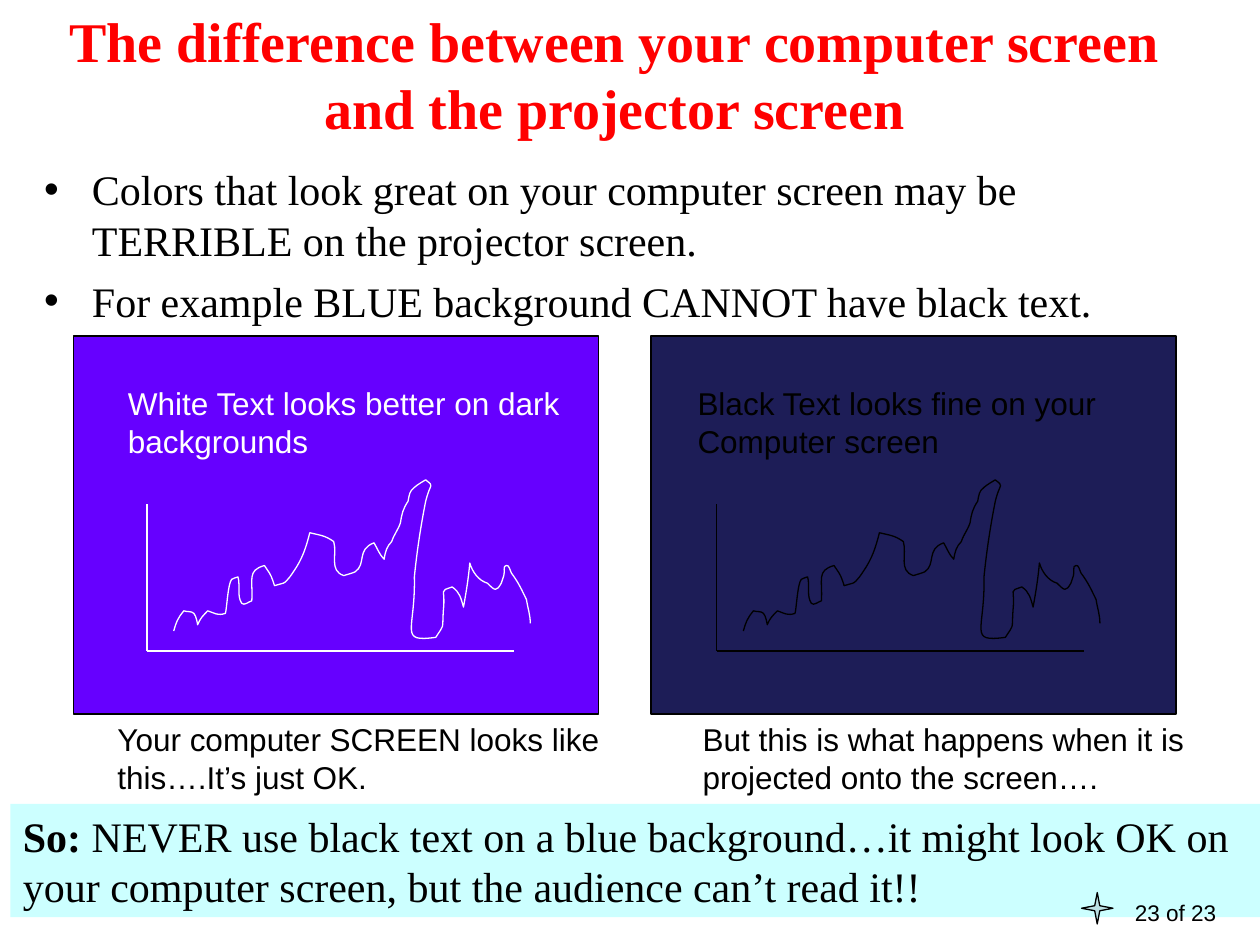
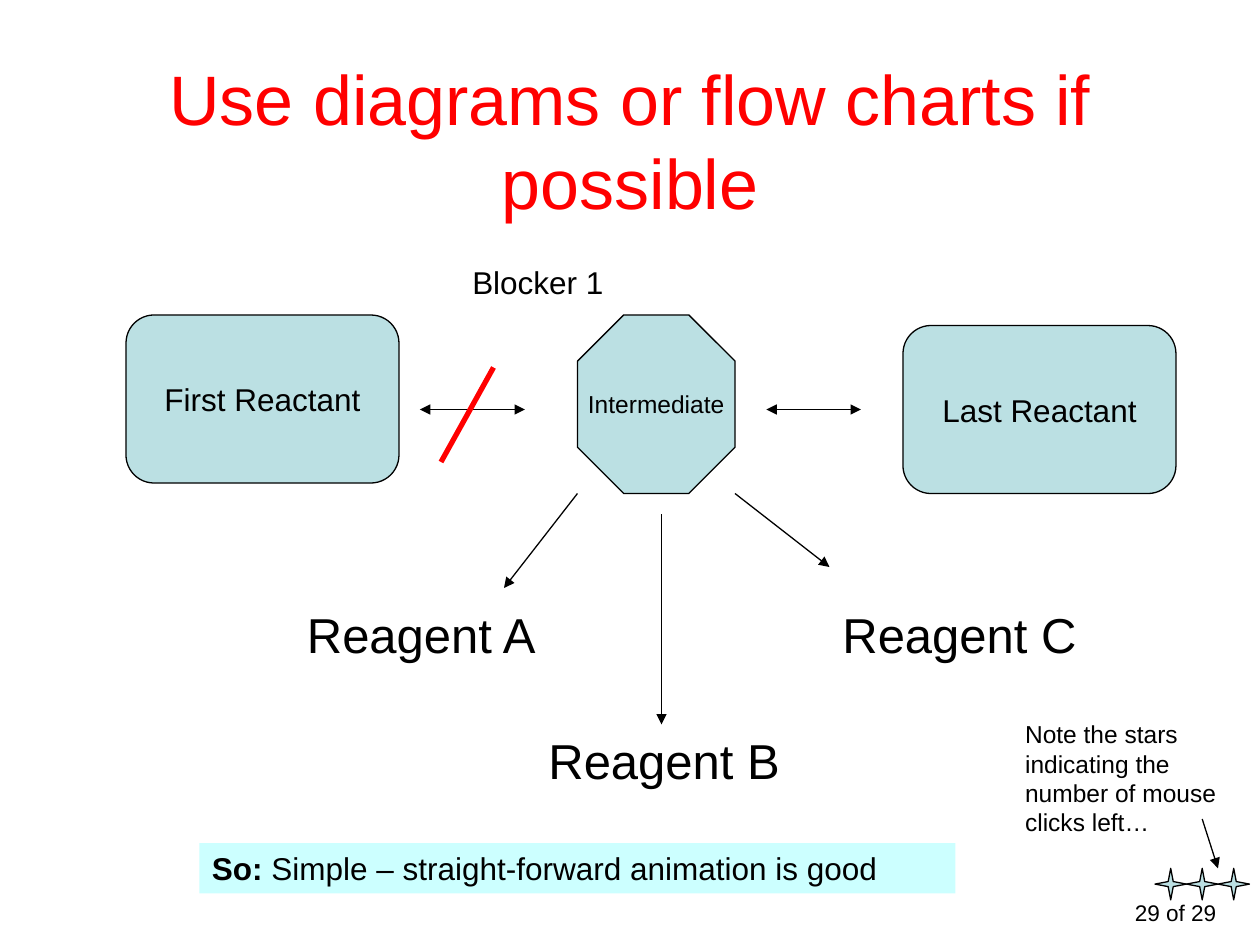
from dataclasses import dataclass
from lxml import etree
from pptx import Presentation
from pptx import util as u
from pptx.dml.color import RGBColor
from pptx.enum import shapes, text
from pptx.oxml import ns

COLORS = {"black": "000000", "white": "FFFFFF", "red": "FF0000", "band": "CCFFFF",
          "pale": "BBE0E3", "violet": "6600FF", "navy": "1D1D57"}
SANS, SERIF = "Arial", "Times New Roman"
COLUMNS = 120
WIDTH, HEIGHT = u.Inches(10), u.Inches(7.5)
CELL = WIDTH / COLUMNS
STAR_OUTLINE = [(0, 25), (21, 21), (25, 0), (29, 21), (50, 25), (29, 29), (25, 50), (21, 29)]
CURVE_START = (0, 120)
CURVE = [
    (2, 113, 3, 110, 8, 104), (11, 105, 14, 104, 16, 106), (18, 108, 19, 115, 19, 115),
    (21, 110, 23, 108, 27, 104), (33, 106, 35, 108, 41, 106), (42, 104, 43, 82, 46, 79),
    (47, 78, 49, 78, 51, 77), (53, 84, 50, 92, 54, 98), (56, 100, 59, 97, 62, 96),
    (63, 79, 58, 72, 72, 68), (73, 70, 75, 72, 76, 74), (78, 77, 80, 84, 80, 84),
    (82, 83, 85, 83, 87, 82), (90, 81, 95, 73, 95, 73), (102, 63, 105, 54, 108, 42),
    (116, 44, 120, 44, 127, 49), (130, 59, 123, 72, 135, 76), (138, 75, 142, 74, 144, 73),
    (153, 67, 145, 55, 159, 50), (162, 55, 163, 59, 167, 63), (168, 57, 169, 53, 173, 49),
    (175, 43, 178, 40, 180, 34), (181, 27, 182, 23, 186, 17), (187, 12, 187, 9, 191, 6),
    (193, 4, 200, 0, 200, 0), (207, 6, 204, 1, 200, 17), (196, 37, 193, 57, 191, 77),
    (192, 120, 178, 129, 208, 125), (215, 114, 213, 120, 214, 104),
    (216, 85, 210, 89, 221, 85), (227, 89, 228, 94, 230, 101), (232, 90, 234, 78, 235, 66),
    (237, 73, 242, 80, 249, 82), (255, 88, 256, 89, 260, 82), (261, 80, 261, 78, 262, 76),
    (263, 73, 261, 68, 264, 68), (266, 67, 267, 72, 268, 74), (274, 82, 276, 87, 280, 95),
    (281, 102, 283, 107, 283, 114),
]


@dataclass(frozen=True)
class Area:
    column: float
    row: float
    columns: float
    rows: float

    def lengths(self) -> tuple:
        return tuple(round(n * CELL) for n in (self.column, self.row, self.columns, self.rows))


@dataclass(frozen=True)
class Style:
    size: float
    font: str = SANS
    color: str = "black"
    bold: bool = False
    align: text.PP_ALIGN = text.PP_ALIGN.LEFT


@dataclass(frozen=True)
class Arrow:
    start: tuple
    end: tuple
    color: str = "black"
    weight: float = 0.75
    heads: tuple = ()


@dataclass(frozen=True)
class Node:
    kind: shapes.MSO_SHAPE
    area: Area
    label: str
    size: float
    adjustment: float


@dataclass(frozen=True)
class Panel:
    area: Area
    fill: str
    ink: str
    heading: tuple
    heading_area: Area
    axis_column: float
    caption: tuple
    caption_area: Area


BOTH_ENDS = ("headEnd", "tailEnd")
FAR_END = ("tailEnd",)
PANELS = [
    Panel(Area(62, 32, 50, 36), "navy", "black",
          ("Black Text looks fine on your", "Computer screen"), Area(65.25, 36, 40.7, 8.4), 68.25,
          ("But this is what happens when it is", "projected onto the screen…."),
          Area(65.75, 68, 48.2, 8.4)),
    Panel(Area(7, 32, 50, 36), "violet", "white",
          ("White Text looks better on dark", "backgrounds"), Area(11, 36, 43.9, 8.4), 14,
          ("Your computer SCREEN looks like", "this….It’s just OK."), Area(10, 68, 48.6, 8.4)),
]
NODES = [
    Node(shapes.MSO_SHAPE.ROUNDED_RECTANGLE, Area(12, 30, 26, 16), "First Reactant", 18, 0.167),
    Node(shapes.MSO_SHAPE.OCTAGON, Area(55, 30, 15, 17), "Intermediate", 14, 0.293),
    Node(shapes.MSO_SHAPE.ROUNDED_RECTANGLE, Area(86, 31, 26, 16), "Last Reactant", 18, 0.167),
]
ARROWS = [
    Arrow((40, 39), (50, 39), heads=BOTH_ENDS),
    Arrow((73, 39), (82, 39), heads=BOTH_ENDS),
    Arrow((55, 47), (48, 56), heads=FAR_END),
    Arrow((63, 49), (63, 69), heads=FAR_END),
    Arrow((70, 47), (79, 54), heads=FAR_END),
    Arrow((47, 35), (42, 44), "red", 3),
    Arrow((114.5, 78), (116, 82.7), heads=FAR_END),
]
REAGENTS = {"Reagent A": Area(28.05, 57, 24.4, 6.8), "Reagent B": Area(51.05, 69, 24.4, 6.8),
            "Reagent C": Area(79.05, 57, 24.6, 6.8)}


def rgb(name: str) -> RGBColor:
    return RGBColor.from_string(COLORS[name])


def place(box, area: Area) -> None:
    box.left, box.top, box.width, box.height = area.lengths()


def write(frame, lines, style: Style, wrap: bool = True,
          anchor=text.MSO_ANCHOR.TOP, lead: str = "") -> None:
    frame.word_wrap = wrap
    frame.auto_size = text.MSO_AUTO_SIZE.NONE
    frame.vertical_anchor = anchor
    for index, line in enumerate(lines):
        para = frame.add_paragraph() if index else frame.paragraphs[0]
        para.alignment = style.align
        for words, bold in ((lead, True), (line, style.bold)):
            if words:
                span = para.add_run()
                span.text = words
                span.font.name, span.font.size = style.font, u.Pt(style.size)
                span.font.bold = bold
                span.font.color.rgb = rgb(style.color)


def add_label(page, area: Area, lines, style: Style, wrap: bool = False) -> None:
    write(page.shapes.add_textbox(*area.lengths()).text_frame, lines, style, wrap)


def paint(box, fill: str = "", outline: str = "black") -> None:
    box.shadow.inherit = False
    if fill:
        box.fill.solid()
        box.fill.fore_color.rgb = rgb(fill)
    else:
        box.fill.background()
    if outline:
        box.line.color.rgb = rgb(outline)
        box.line.width = u.Pt(0.75)
    else:
        box.line.fill.background()


def add_block(page, kind, area: Area, fill: str, outline: str = "black"):
    box = page.shapes.add_shape(kind, *area.lengths())
    paint(box, fill, outline)
    return box


def add_line(page, arrow: Arrow) -> None:
    ends = [round(n * CELL) for n in arrow.start + arrow.end]
    line = page.shapes.add_connector(shapes.MSO_CONNECTOR.STRAIGHT, *ends)
    line.line.color.rgb = rgb(arrow.color)
    line.line.width = u.Pt(arrow.weight)
    outline = line.line._get_or_add_ln()
    for head in arrow.heads:
        etree.SubElement(outline, ns.qn("a:" + head), type="triangle")
    etree.SubElement(line._element.spPr, ns.qn("a:effectLst"))


def add_star(page, column: float, row: float) -> None:
    builder = page.shapes.build_freeform(*STAR_OUTLINE[0], scale=u.Inches(0.005))
    builder.add_line_segments(STAR_OUTLINE[1:], close=True)
    paint(builder.convert_to_shape(round(column * CELL), round(row * CELL)), "pale")


def add_curve(page, column: float, row: float, ink: str) -> None:
    builder = page.shapes.build_freeform(*CURVE_START, scale=u.Inches(0.01))
    for numbers in CURVE:
        builder.add_line_segments(zip(numbers[::2], numbers[1::2]), close=False)
    curve = builder.convert_to_shape(round(column * CELL), round(row * CELL))
    outline = next(curve._element.iter(ns.qn("a:path")))
    segments = outline.findall(ns.qn("a:lnTo"))
    for first in range(0, len(segments), 3):
        bend = etree.SubElement(outline, ns.qn("a:cubicBezTo"))
        for segment in segments[first:first + 3]:
            bend.append(segment[0])
            outline.remove(segment)
    paint(curve, outline=ink)


def add_panel(page, panel: Panel) -> None:
    add_block(page, shapes.MSO_SHAPE.RECTANGLE, panel.area, panel.fill)
    add_label(page, panel.heading_area, panel.heading, Style(18, color=panel.ink))
    corner = (panel.axis_column, 62)
    add_line(page, Arrow((panel.axis_column, 48), corner, panel.ink))
    add_line(page, Arrow(corner, (panel.axis_column + 35, 62), panel.ink))
    add_curve(page, panel.axis_column + 2.55, 45.7, panel.ink)
    add_label(page, panel.caption_area, panel.caption, Style(18))


def add_title(page, area: Area, words: str, style: Style) -> None:
    title = page.shapes.title
    place(title, area)
    write(title.text_frame, [words], style, anchor=text.MSO_ANCHOR.MIDDLE)


def add_bullets(page, area: Area, lines, style: Style) -> None:
    body = page.placeholders[1]
    place(body, area)
    write(body.text_frame, lines, style)
    for index, para in enumerate(body.text_frame.paragraphs):
        para.space_before = u.Pt(6 if index else 0)
        properties = para._p.get_or_add_pPr()
        properties.set("marL", str(u.Inches(0.38)))
        properties.set("indent", str(-u.Inches(0.38)))


def add_conclusion(page, area: Area, words: str, style: Style) -> None:
    band = add_block(page, shapes.MSO_SHAPE.RECTANGLE, area, "band", "")
    write(band.text_frame, [words], style, lead="So:")


def add_footer(page, number: str, star_column: float, star_row: float, stars: int) -> None:
    for index in range(stars):
        add_star(page, star_column + 3 * index, star_row)
    add_label(page, Area(89, 85, 28, 4), [number],
              Style(12.9, align=text.PP_ALIGN.RIGHT), wrap=True)


def build_screen_page(deck) -> None:
    page = deck.slides.add_slide(deck.slide_layouts[1])
    add_title(page, Area(1.55, 0.5, 114, 13),
              "The difference between your computer screen and the projector screen",
              Style(32, SERIF, "red", True, text.PP_ALIGN.CENTER))
    add_bullets(page, Area(3, 15, 113, 61.5), [
        "Colors that look great on your computer screen may be TERRIBLE on the projector screen.",
        "For example BLUE background CANNOT have black text."], Style(24, SERIF))
    for panel in PANELS:
        add_panel(page, panel)
    add_conclusion(page, Area(1, 76.56, 119, 10.8),
                   " NEVER use black text on a blue background…it might look OK on "
                   "your computer screen, but the audience can’t read it!!", Style(24, SERIF))
    add_footer(page, "23 of 23", 103, 85, 1)


def build_flow_page(deck) -> None:
    page = deck.slides.add_slide(deck.slide_layouts[5])
    add_title(page, Area(6, 5.75, 108, 15), "Use diagrams or flow charts if possible",
              Style(40, color="red", align=text.PP_ALIGN.CENTER))
    for node in NODES:
        box = add_block(page, node.kind, node.area, "pale")
        box.adjustments[0] = node.adjustment
        write(box.text_frame, [node.label], Style(node.size, align=text.PP_ALIGN.CENTER),
              wrap=False, anchor=text.MSO_ANCHOR.MIDDLE)
    for label, area in REAGENTS.items():
        add_label(page, area, [label], Style(28))
    add_label(page, Area(43.8, 24.5, 14.9, 4.8), ["Blocker 1"], Style(18))
    add_conclusion(page, Area(19, 80.3, 72, 4.8),
                   " Simple – straight-forward animation is good", Style(18))
    add_footer(page, "29 of 29", 110, 82.7, 3)
    add_label(page, Area(96.45, 67.9, 22.6, 12.5),
              ["Note the stars indicating the number of mouse clicks left…"], Style(14), wrap=True)
    for arrow in ARROWS:
        add_line(page, arrow)


def main() -> None:
    deck = Presentation()
    deck.slide_width, deck.slide_height = WIDTH, HEIGHT
    build_screen_page(deck)
    build_flow_page(deck)
    deck.save("out.pptx")


if __name__ == "__main__":
    main()
